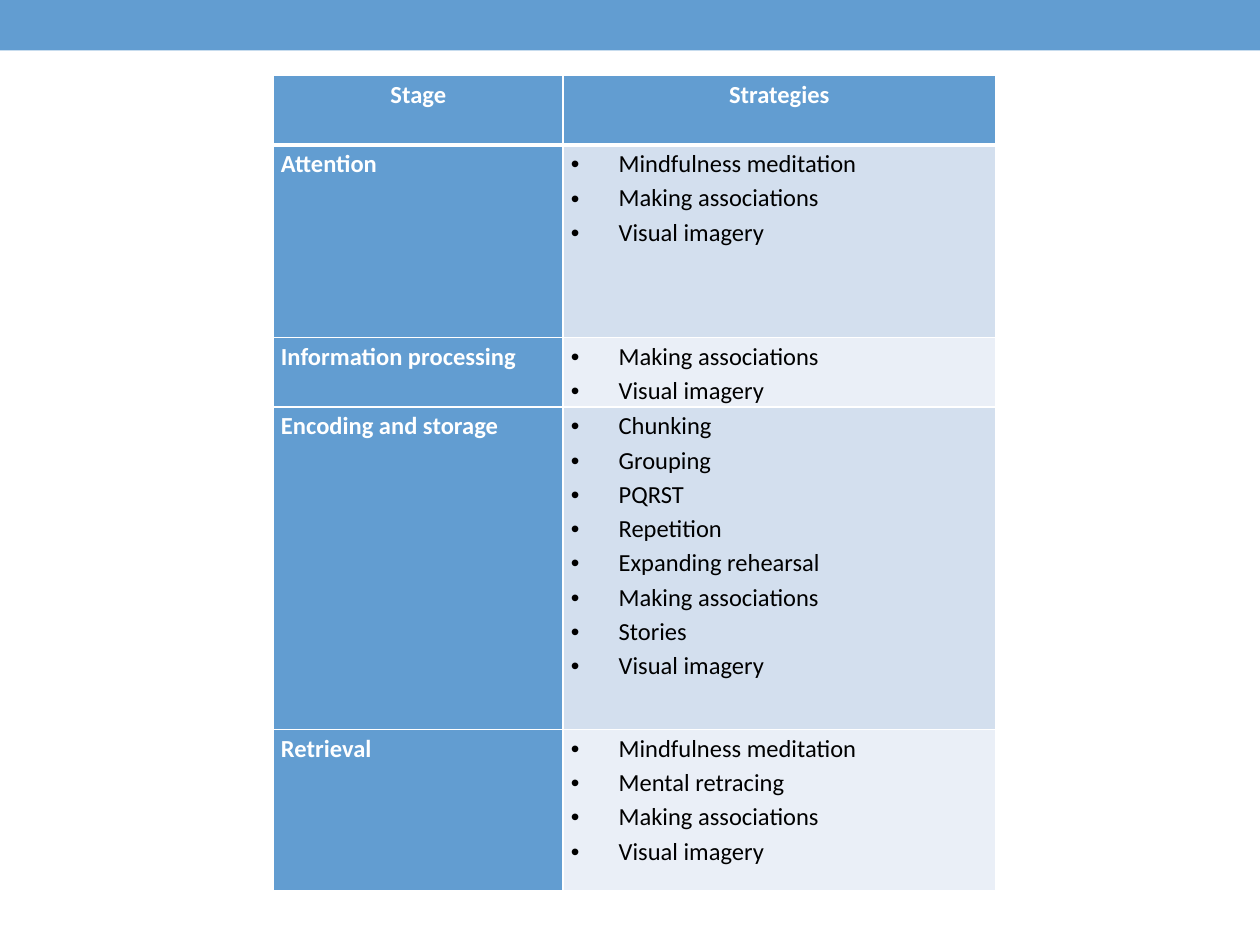
"""Build a slide with a table of memory stages and their strategies."""
from dataclasses import dataclass

from lxml.etree import SubElement
from pptx import Presentation
from pptx.dml.color import RGBColor
from pptx.enum.shapes import MSO_SHAPE as Shape
from pptx.enum.text import PP_ALIGN as Align
from pptx.oxml.ns import qn
from pptx.table import _Cell as Cell
from pptx.util import Emu, Inches, Pt

BLUE = RGBColor(0x62, 0x9D, 0xD1)
PALE_BLUE = RGBColor(0xD3, 0xDF, 0xEE)
PALE_GREY = RGBColor(0xEA, 0xEF, 0xF7)
WHITE = RGBColor(0xFF, 0xFF, 0xFF)
BLACK = RGBColor(0x00, 0x00, 0x00)

FONT = {"name": "Calibri", "size": Pt(14)}
MARGINS = {
    "margin_left": Inches(0.06),
    "margin_right": Inches(0.06),
    "margin_top": 0,
    "margin_bottom": 0,
}
BULLET_INDENT = Inches(0.38)
COLUMN_WIDTHS = (2.3, 3.43)
HEADER_HEIGHT = 0.55


@dataclass(frozen=True)
class Stage:
    name: str
    height: float
    strategies: tuple[str, ...]


@dataclass(frozen=True)
class CellStyle:
    fill: RGBColor
    color: RGBColor = WHITE
    bold: bool = True
    alignment: Align = Align.JUSTIFY
    bulleted: bool = False


HEADER_STYLE = CellStyle(BLUE, alignment=Align.CENTER)
STAGE_STYLE = CellStyle(BLUE)
STRATEGY_STYLES = tuple(
    CellStyle(fill, BLACK, bold=False, bulleted=True) for fill in (PALE_BLUE, PALE_GREY)
)

STAGES = (
    Stage("Attention", 1.53, ("Mindfulness meditation", "Making associations", "Visual imagery")),
    Stage("Information processing", 0.55, ("Making associations", "Visual imagery")),
    Stage("Encoding and storage", 2.56, (
        "Chunking", "Grouping", "PQRST", "Repetition", "Expanding rehearsal",
        "Making associations", "Stories", "Visual imagery",
    )),
    Stage("Retrieval", 1.28, (
        "Mindfulness meditation", "Mental retracing", "Making associations", "Visual imagery",
    )),
)


def set_attributes(target: object, values: dict) -> None:
    for name, value in values.items():
        setattr(target, name, value)


def add_borders(cell: Cell, top: float, bottom: float) -> None:
    properties = cell._tc.get_or_add_tcPr()
    for side, width in {"L": 1, "R": 1, "T": top, "B": bottom}.items():
        line = SubElement(properties, qn(f"a:ln{side}"), w=str(Pt(width)))
        fill = SubElement(line, qn("a:solidFill"))
        SubElement(fill, qn("a:srgbClr"), val=str(WHITE))


def write_cell(
    cell: Cell, lines: tuple[str, ...], style: CellStyle, top: float = 1, bottom: float = 1
) -> None:
    set_attributes(cell, MARGINS)
    add_borders(cell, top, bottom)
    cell.fill.solid()
    cell.fill.fore_color.rgb = style.fill
    cell.text = "\n".join(lines)
    for paragraph in cell.text_frame.paragraphs:
        set_attributes(paragraph, {"alignment": style.alignment, "line_spacing": 1.15})
        for run in paragraph.runs:
            set_attributes(run.font, {**FONT, "bold": style.bold})
            run.font.color.rgb = style.color
        if style.bulleted:
            properties = paragraph._p.get_or_add_pPr()
            properties.set("marL", str(BULLET_INDENT))
            properties.set("indent", str(-BULLET_INDENT))
            SubElement(properties, qn("a:buFont"), typeface="Arial")
            SubElement(properties, qn("a:buChar"), char="•")


def add_banner(slide, width: Emu) -> None:
    banner = slide.shapes.add_shape(Shape.RECTANGLE, 0, 0, width, Inches(0.4))
    banner.shadow.inherit = False
    banner.fill.solid()
    banner.fill.fore_color.rgb = BLUE
    banner.line.fill.background()


def add_strategy_table(slide) -> None:
    heights = (HEADER_HEIGHT, *(stage.height for stage in STAGES))
    table = slide.shapes.add_table(
        len(heights), len(COLUMN_WIDTHS), Inches(2.17), Inches(0.6),
        Inches(sum(COLUMN_WIDTHS)), Inches(sum(heights)),
    ).table
    for column, width in zip(table.columns, COLUMN_WIDTHS):
        column.width = Inches(width)
    for row, height in zip(table.rows, heights):
        row.height = Inches(height)
    for index, heading in enumerate(("Stage", "Strategies")):
        write_cell(table.cell(0, index), (heading,), HEADER_STYLE, bottom=3)
    for index, stage in enumerate(STAGES):
        top = 3 if index == 0 else 1
        strategy_style = STRATEGY_STYLES[index % 2]
        write_cell(table.cell(index + 1, 0), (stage.name,), STAGE_STYLE, top)
        write_cell(table.cell(index + 1, 1), stage.strategies, strategy_style, top)


def main() -> None:
    presentation = Presentation()
    set_attributes(presentation, {"slide_width": Inches(10), "slide_height": Inches(7.5)})
    slide = presentation.slides.add_slide(presentation.slide_layouts[6])
    add_banner(slide, presentation.slide_width)
    add_strategy_table(slide)
    presentation.save("out.pptx")


if __name__ == "__main__":
    main()
